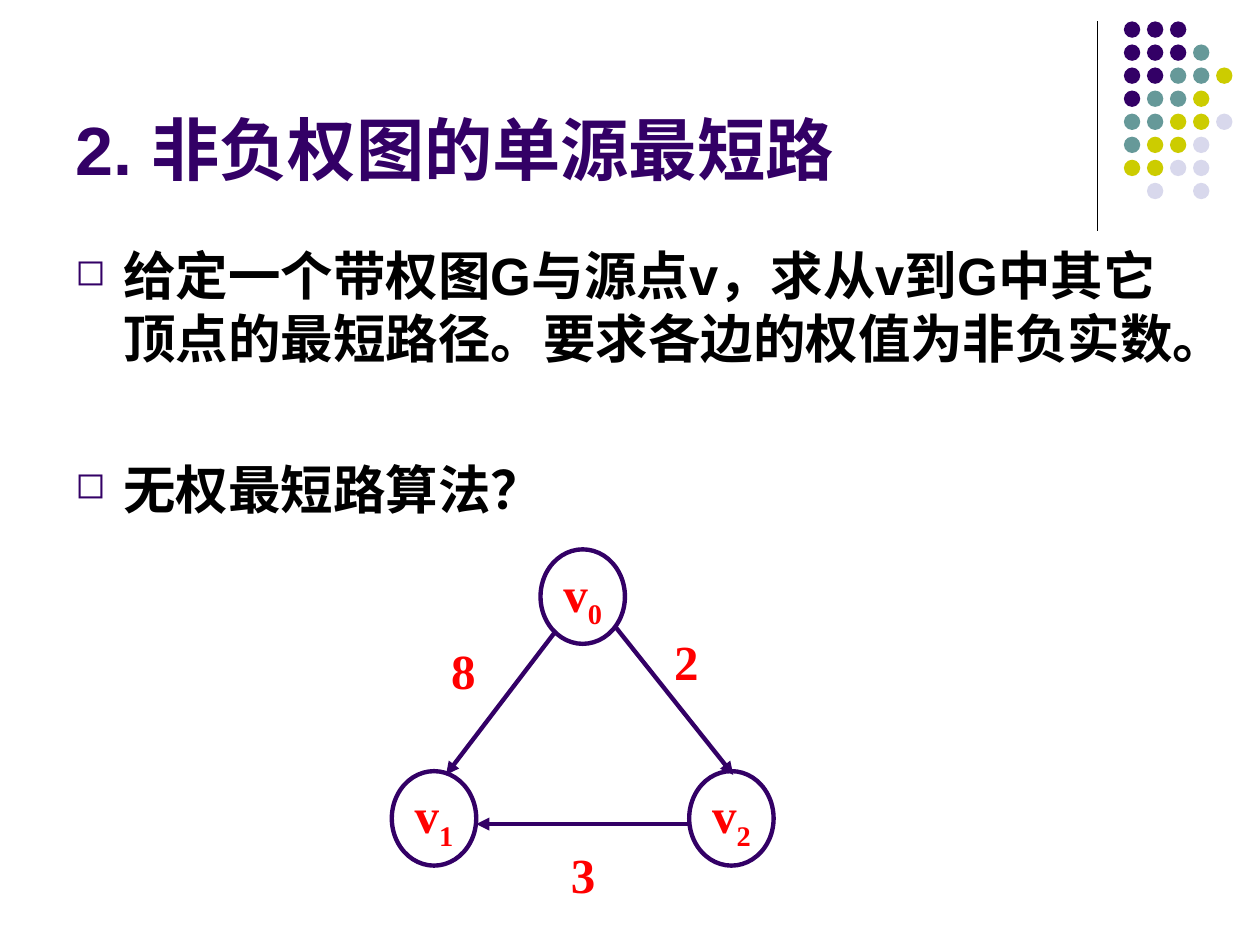
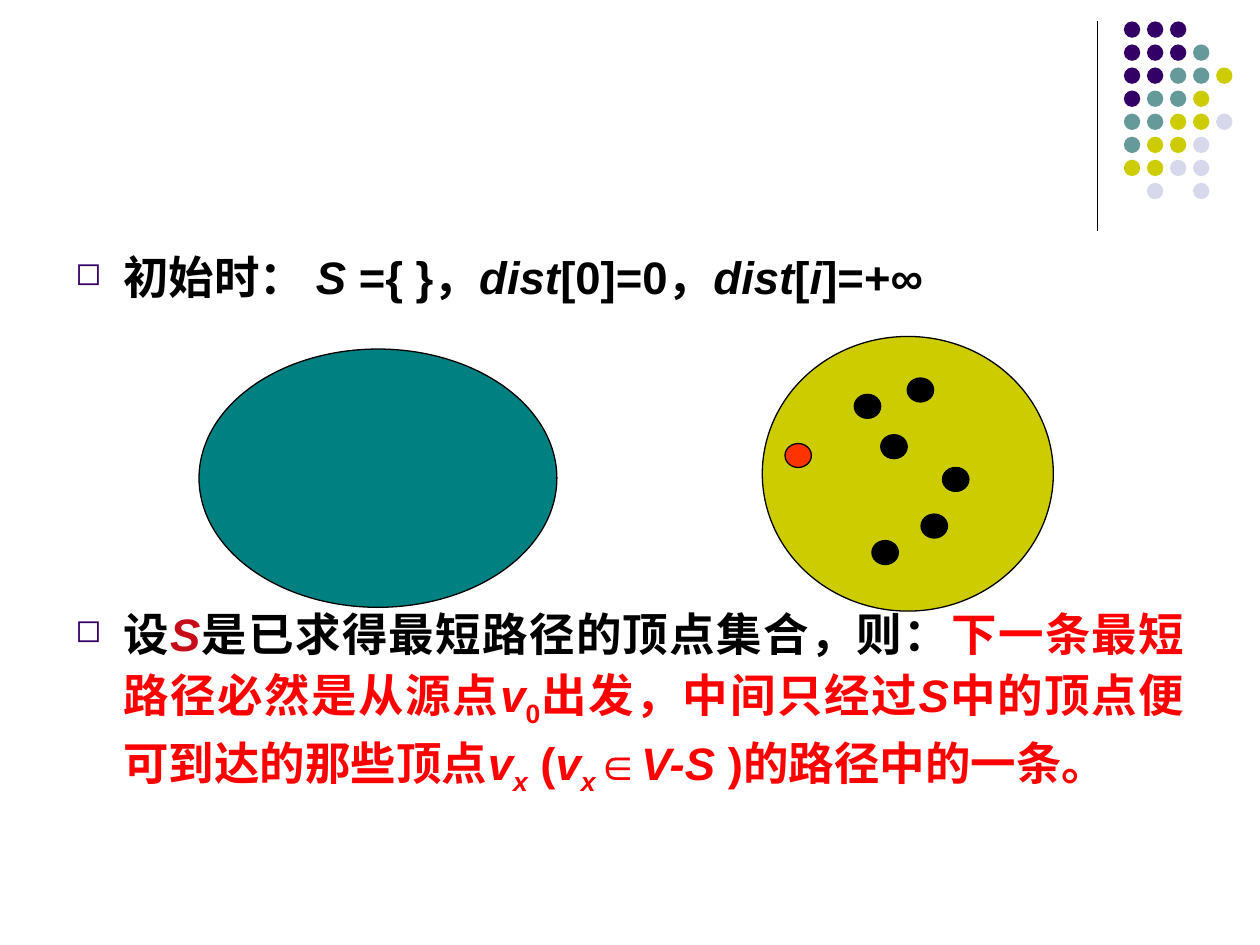
from lxml import etree
from pptx import Presentation
from pptx import util as u
from pptx.dml.color import RGBColor
from pptx.enum import shapes, text
from pptx.oxml.ns import qn

PURPLE = RGBColor(0x33, 0x00, 0x66)
SAGE = RGBColor(0x66, 0x99, 0x99)
OLIVE = RGBColor(0xCC, 0xCC, 0x00)
LAVENDER = RGBColor(0xD8, 0xD8, 0xEC)
TEAL = RGBColor(0x00, 0x80, 0x80)
BLACK = RGBColor(0x00, 0x00, 0x00)
RED = RGBColor(0xFF, 0x00, 0x00)
CRIMSON = RGBColor(0xC6, 0x0C, 0x19)
ORANGE = RGBColor(0xFF, 0x33, 0x00)

DOT_ROWS = ["PPP", "PPPS", "PPSSO", "PSSO", "SSOOL", "SOOL", "OOLL", " L L"]
DOT_COLORS = {"P": PURPLE, "S": SAGE, "O": OLIVE, "L": LAVENDER}
DOT_LEFT, DOT_TOP, DOT_PITCH, DOT_SIZE = 8.92, 0.17, 0.183, 0.13

TITLE = "2. 非负权图的单源最短路"
PROBLEM = [
    [("给定一个带权图G与源点v，求从v到G中其它顶点的最短路径。要求各边的权值为非负实数。", BLACK, "")],
    [("无权最短路算法？", BLACK, "")],
]
GREEDY_RULE = [
    [("初始时： ", BLACK, ""), ("S", BLACK, "i"), (" ={ }，", BLACK, ""),
     ("dist", BLACK, "i"), ("[0]=0，", BLACK, ""), ("dist", BLACK, "i"),
     ("[", BLACK, ""), ("i", BLACK, "i"), ("]=+∞", BLACK, "")],
    [("设", BLACK, ""), ("S", CRIMSON, "i"), ("是已求得最短路径的顶点集合，则：", BLACK, ""),
     ("下一条最短路径必然是从源点", RED, ""), ("v", RED, "i"), ("0", RED, "s"),
     ("出发，中间只经过", RED, ""), ("S", RED, "i"), ("中的顶点便可到达的那些顶点", RED, ""),
     ("v", RED, "i"), ("x", RED, "is"), (" (", RED, ""), ("v", RED, "i"), ("x", RED, "is"),
     ("∈", RED, ""), ("V-S", RED, "i"), (" )的路径中的一条。", RED, "")],
]

NODES = {"0": (4.29, 4.36), "1": (3.11, 6.12), "2": (5.47, 6.12)}
EDGES = [
    ((4.41, 5.01), (3.54, 6.15), "8", (3.58, 5.08)),
    ((4.88, 4.97), (5.82, 6.15), "2", (5.35, 5.01)),
    ((5.47, 6.54), (3.78, 6.54), "3", (4.53, 6.7)),
]
SETS = [((6.05, 2.67, 2.31, 2.18), OLIVE), ((1.58, 2.77, 2.84, 2.05), TEAL)]
VERTICES = [(7.48, 3.71), (6.92, 4.29), (7.2, 3), (6.99, 3.45), (6.78, 3.13), (7.31, 4.08)]
SOURCE_VERTEX = (6.23, 3.52)
VERTEX_SIZE = (0.21, 0.19)


def inches(values):
    return [u.Inches(value) for value in values]


def add_ellipse(slide, box, fill=None, line=None, width=0.75):
    shape = slide.shapes.add_shape(shapes.MSO_SHAPE.OVAL, *inches(box))
    shape.shadow.inherit = False
    if fill is None:
        shape.fill.background()
    else:
        shape.fill.solid()
        shape.fill.fore_color.rgb = fill
    if line is None:
        shape.line.fill.background()
    else:
        shape.line.color.rgb = line
        shape.line.width = u.Pt(width)
    return shape


def add_line(slide, start, end, color, width, arrow=False):
    line = slide.shapes.add_connector(shapes.MSO_CONNECTOR.STRAIGHT, *inches(start + end))
    line.line.color.rgb = color
    line.line.width = u.Pt(width)
    if arrow:
        etree.SubElement(line.line._get_or_add_ln(), qn("a:tailEnd"), type="triangle")
    etree.SubElement(line._element.spPr, qn("a:effectLst"))


def add_text_box(slide, box):
    frame = slide.shapes.add_textbox(*inches(box)).text_frame
    frame.word_wrap = True
    return frame


def clear_margins(frame):
    frame.margin_left = frame.margin_right = frame.margin_top = frame.margin_bottom = 0


def set_font(paragraph, name, size, color):
    font = paragraph.font
    font.name, font.size, font.bold = name, u.Pt(size), True
    font.color.rgb = color


def add_run(paragraph, content, color=None, style=""):
    run = paragraph.add_run()
    run.text = content
    if color is not None:
        run.font.color.rgb = color
    if "i" in style:
        run.font.italic = True
    if "s" in style:
        run._r.get_or_add_rPr().set("baseline", "-25000")


def add_bullet(paragraph):
    properties = paragraph._p.get_or_add_pPr()
    properties.set("marL", str(u.Inches(0.38)))
    properties.set("indent", str(u.Inches(-0.38)))
    color = etree.SubElement(properties, qn("a:buClr"))
    etree.SubElement(color, qn("a:srgbClr"), val=str(PURPLE))
    etree.SubElement(properties, qn("a:buSzPct"), val="70000")
    etree.SubElement(properties, qn("a:buChar"), char="◻")


def add_body(slide, items, size, gap, line_spacing=None, alignment=None):
    frame = add_text_box(slide, (0.5, 1.88, 9, 4.82))
    for index, runs in enumerate(items):
        paragraph = frame.add_paragraph() if index else frame.paragraphs[0]
        add_bullet(paragraph)
        paragraph.alignment = alignment
        paragraph.line_spacing = line_spacing
        if index:
            paragraph.space_before = u.Pt(gap)
        set_font(paragraph, "Arial", size, BLACK)
        for content, color, style in runs:
            add_run(paragraph, content, None if color == BLACK else color, style)


def add_title(slide, content):
    frame = add_text_box(slide, (0.5, 0.13, 8.25, 1.42))
    frame.vertical_anchor = text.MSO_ANCHOR.BOTTOM
    paragraph = frame.paragraphs[0]
    set_font(paragraph, "Arial", 39, PURPLE)
    add_run(paragraph, content)


def add_decorated_slide(presentation):
    slide = presentation.slides.add_slide(presentation.slide_layouts[6])
    add_line(slide, (8.71, 0.17), (8.71, 1.83), BLACK, 0.75)
    for row, colors in enumerate(DOT_ROWS):
        for column, key in enumerate(colors):
            if key in DOT_COLORS:
                left, top = DOT_LEFT + column * DOT_PITCH, DOT_TOP + row * DOT_PITCH
                add_ellipse(slide, (left, top, DOT_SIZE, DOT_SIZE), DOT_COLORS[key])
    return slide


def add_graph(slide):
    for subscript, position in NODES.items():
        frame = add_ellipse(slide, position + (0.67, 0.75), line=PURPLE, width=2.5).text_frame
        clear_margins(frame)
        frame.vertical_anchor = text.MSO_ANCHOR.MIDDLE
        paragraph = frame.paragraphs[0]
        paragraph.alignment = text.PP_ALIGN.CENTER
        set_font(paragraph, "Times New Roman", 28, RED)
        add_run(paragraph, "v", RED)
        add_run(paragraph, subscript, RED, "s")
    for start, end, weight, position in EDGES:
        add_line(slide, start, end, PURPLE, 2.5, arrow=True)
        frame = add_text_box(slide, position + (0.28, 0.47))
        clear_margins(frame)
        set_font(frame.paragraphs[0], "Times New Roman", 28, RED)
        add_run(frame.paragraphs[0], weight)


def add_vertex_sets(slide):
    for box, color in SETS:
        add_ellipse(slide, box, color, BLACK)
    for position in VERTICES:
        add_ellipse(slide, position + VERTEX_SIZE, BLACK, BLACK)
    add_ellipse(slide, SOURCE_VERTEX + VERTEX_SIZE, ORANGE, BLACK)


def main():
    presentation = Presentation()
    presentation.slide_width, presentation.slide_height = inches((10, 7.5))

    slide = add_decorated_slide(presentation)
    add_title(slide, TITLE)
    add_body(slide, PROBLEM, 30, 50)
    add_graph(slide)

    slide = add_decorated_slide(presentation)
    add_body(slide, GREEDY_RULE, 26, 170, 1.1, text.PP_ALIGN.JUSTIFY)
    add_vertex_sets(slide)

    presentation.save("out.pptx")


if __name__ == "__main__":
    main()
